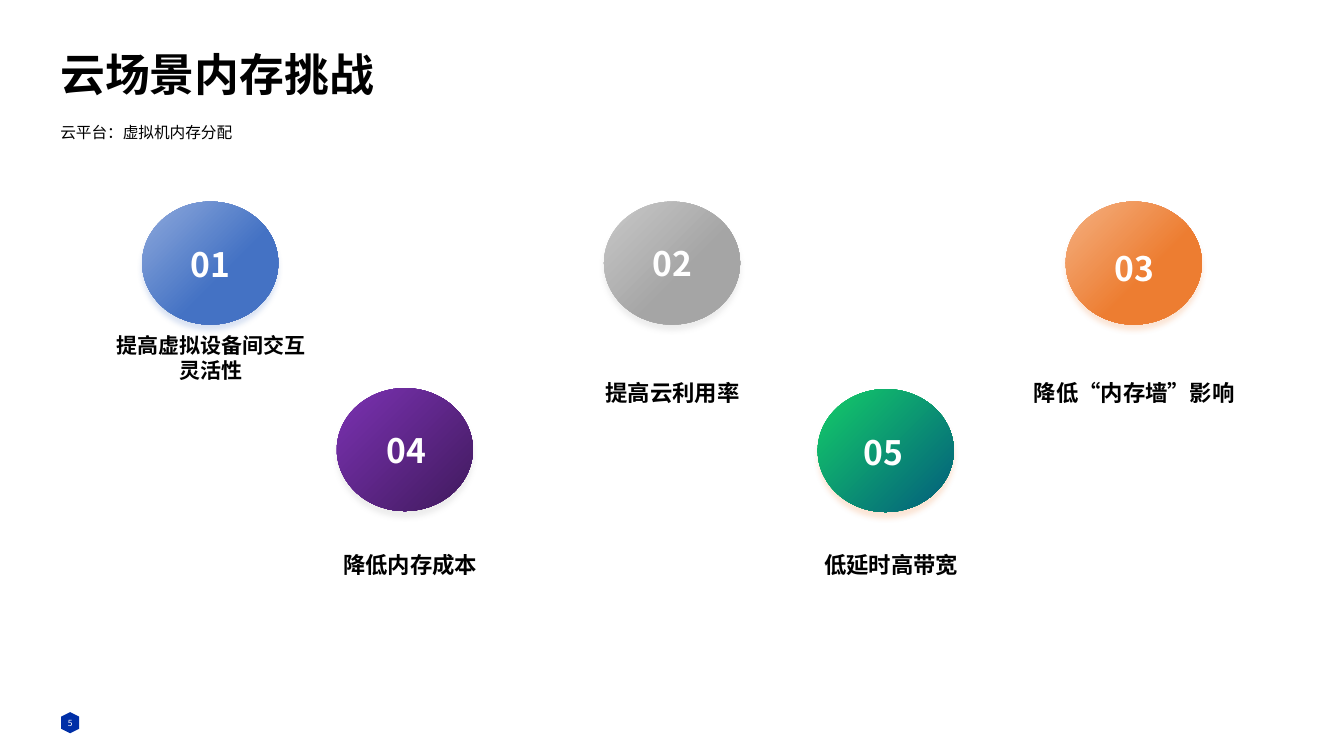
from dataclasses import dataclass

from lxml import etree
from pptx import Presentation
from pptx.dml.color import RGBColor
from pptx.enum.shapes import MSO_SHAPE
from pptx.enum.text import MSO_ANCHOR, MSO_AUTO_SIZE, PP_ALIGN
from pptx.oxml.ns import qn
from pptx.util import Inches, Pt

OVAL, HEX = MSO_SHAPE.OVAL, MSO_SHAPE.HEXAGON
TOP, MID, LOW = MSO_ANCHOR.TOP, MSO_ANCHOR.MIDDLE, MSO_ANCHOR.BOTTOM
LEFT, MIDST = PP_ALIGN.LEFT, PP_ALIGN.CENTER
GROW = MSO_AUTO_SIZE.SHAPE_TO_FIT_TEXT
NOTO, ARIAL = "Noto Sans CJK SC", "Arial"
BLACK, WHITE, BLUE = "000000", "FFFFFF", "002FA7"
WIDE, HIGH = 1.35, 1.22


@dataclass
class Text:
    lines: list[str]
    box: tuple[float, float, float, float]
    size: float
    font: str = NOTO
    color: str = BLACK
    bold: bool = True
    align: int = MIDST
    anchor: int = LOW
    wrap: bool = True
    grow: bool = False
    space: float = 1.0
    before: float = 0


@dataclass
class Ball:
    num: str
    lines: list[str]
    left: float
    top: float
    start: str
    end: str
    stop: float
    shade: str
    num_at: tuple[float, float]
    label_at: tuple[float, float]
    size: float = 16


BALLS = [
    Ball("02", ["提高云利用率"], 5.99, 2, "C9C9C9", "A5A5A5", 0.6, "A5A5A5",
         (6.35, 2.36), (5.46, 3.68)),
    Ball("01", ["提高虚拟设备间交互", "灵活性"], 1.41, 2, "8FAADC", "4472C4", 0.6,
         "4472C4", (1.77, 2.37), (0.88, 3.45), 15),
    Ball("03", ["降低“内存墙”影响"], 10.57, 2, "F4B183", "ED7D31", 0.6, "ED7D31",
         (10.93, 2.41), (10.04, 3.68)),
    Ball("04", ["降低内存成本"], 3.34, 3.85, "7B32B2", "401A5D", 1, "A5A5A5",
         (3.71, 4.21), (2.86, 5.38)),
    Ball("05", ["低延时高带宽"], 8.11, 3.86, "14CD68", "035C7D", 1, "ED7D31",
         (8.44, 4.23), (7.63, 5.38)),
]

TEXTS = [
    Text(["5"], (0.49, 6.97, 0.41, 0.4), 6, color=WHITE, bold=False, anchor=MID),
    Text(["云场景内存挑战"], (0.5, 0.38, 12.34, 0.71), 32, ARIAL, align=LEFT,
         anchor=MID),
    Text(["云平台：虚拟机内存分配"], (0.5, 1.19, 12.34, 0.31), 11.2, ARIAL,
         bold=False, align=LEFT, anchor=TOP, space=0.9, before=10),
]


def paint(code: str) -> RGBColor:
    return RGBColor.from_string(code)


def apply(item: object, values: dict) -> None:
    for name, value in values.items():
        setattr(item, name, value)


def add_text(slide, text: Text) -> None:
    frame = slide.shapes.add_textbox(*map(Inches, text.box)).text_frame
    apply(frame, {"word_wrap": text.wrap, "vertical_anchor": text.anchor})
    if text.grow:
        frame.auto_size = GROW
    for i, line in enumerate(text.lines):
        para = frame.add_paragraph() if i else frame.paragraphs[0]
        apply(para, {"alignment": text.align, "line_spacing": text.space,
                     "space_before": Pt(text.before)})
        run = para.add_run()
        run.text = line
        apply(run.font, {"name": text.font, "size": Pt(text.size),
                         "bold": text.bold})
        run.font.color.rgb = paint(text.color)
        props = run.font._element
        east = etree.Element(qn("a:ea"), typeface=NOTO)
        props.find(qn("a:latin")).addnext(east)


def add_shade(shape, code: str) -> None:
    shape.shadow.inherit = False
    effects = shape._element.spPr.find(qn("a:effectLst"))
    outer = etree.SubElement(
        effects, qn("a:outerShdw"), blurRad=str(Pt(4)), dist=str(Pt(4)),
        dir="5400000", algn="t", rotWithShape="0")
    color = etree.SubElement(outer, qn("a:srgbClr"), val=code)
    etree.SubElement(color, qn("a:alpha"), val="20000")


def add_ball(slide, ball: Ball) -> None:
    box = (ball.left, ball.top, WIDE, HIGH)
    disc = slide.shapes.add_shape(OVAL, *map(Inches, box))
    disc.line.fill.background()
    disc.fill.gradient()
    disc.fill.gradient_angle = 315
    ends = [(ball.start, 0), (ball.end, ball.stop)]
    for stop, (code, spot) in zip(disc.fill.gradient_stops, ends):
        stop.color.rgb = paint(code)
        stop.position = spot
    add_shade(disc, ball.shade)
    add_text(slide, Text(ball.lines, (*ball.label_at, 2.42, 0.4), ball.size,
                         wrap=False))
    add_text(slide, Text([ball.num], (*ball.num_at, 0.64, 0.5), 24,
                         color=WHITE, grow=True))


def add_badge(slide) -> None:
    badge = slide.shapes.add_shape(HEX, *map(Inches, (0.59, 7.08, 0.21, 0.18)))
    badge.rotation = 90
    badge.shadow.inherit = False
    badge.fill.solid()
    badge.fill.fore_color.rgb = paint(BLUE)
    badge.line.fill.background()


def main() -> None:
    deck = Presentation()
    apply(deck, {"slide_width": Inches(13.33), "slide_height": Inches(7.5)})
    slide = deck.slides.add_slide(deck.slide_layouts[6])
    add_badge(slide)
    for text in TEXTS:
        add_text(slide, text)
    for ball in BALLS:
        add_ball(slide, ball)
    deck.save("out.pptx")


if __name__ == "__main__":
    main()
